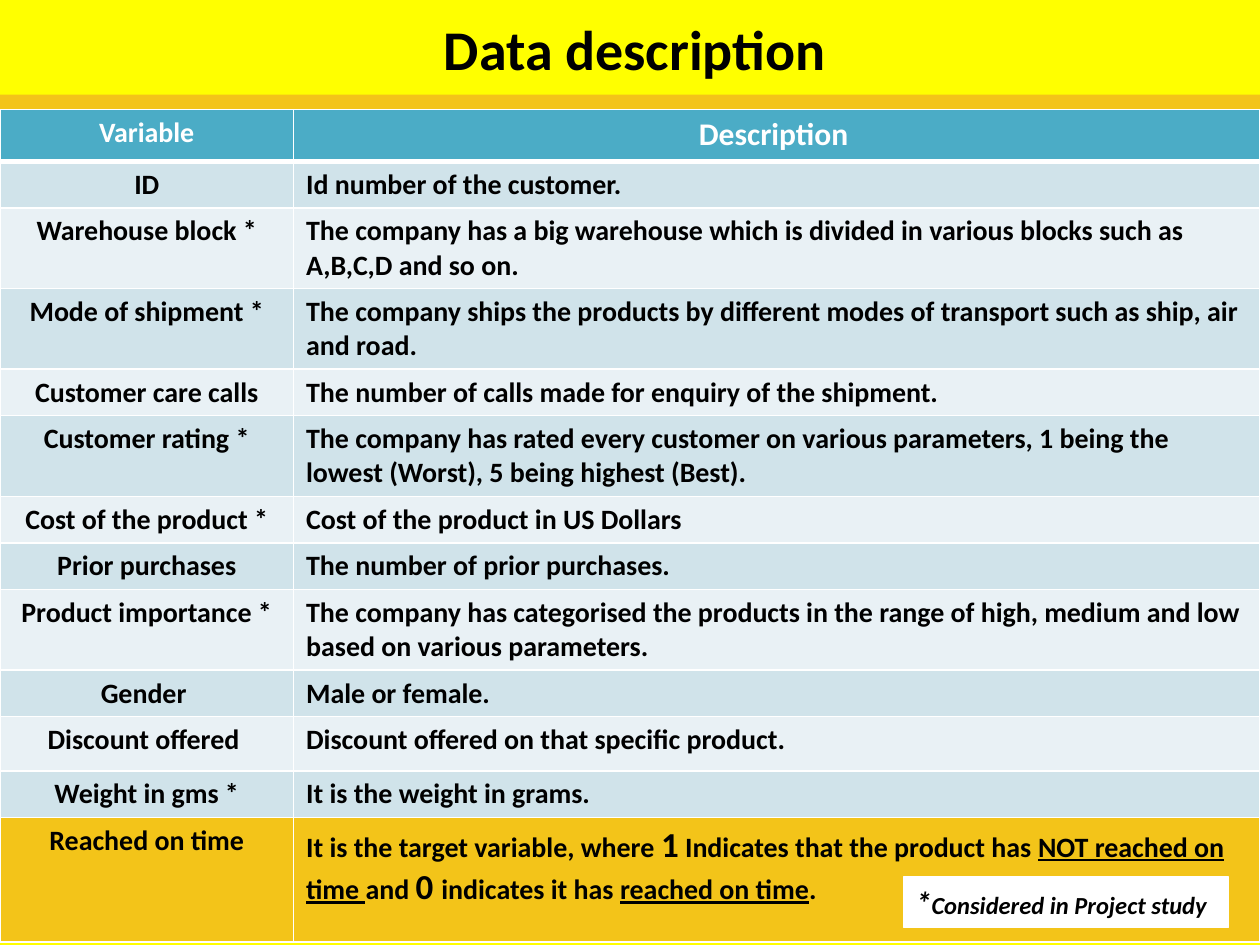
from dataclasses import dataclass

from lxml.etree import SubElement
from pptx import Presentation
from pptx.dml.color import RGBColor
from pptx.enum.shapes import MSO_SHAPE
from pptx.enum.text import MSO_ANCHOR, PP_ALIGN
from pptx.oxml import parse_xml
from pptx.oxml.ns import nsdecls, qn
from pptx.util import Inches, Pt


@dataclass(frozen=True)
class Theme:
    font: str = "Calibri"
    black: str = "000000"
    white: str = "FFFFFF"
    page: str = "FFFF00"
    gold: str = "F3C419"
    head: str = "4BACC6"
    dark: str = "D0E3EA"
    light: str = "E9F1F5"
    title: int = 32
    large: int = 20
    mid: int = 18
    body: int = 16
    note: int = 14


theme = Theme()


def write(para, parts, color=theme.black, align=PP_ALIGN.LEFT):
    para.alignment = align
    for text, size, line in parts:
        run = para.add_run()
        run.text = text
        font = run.font
        font.name, font.size, font.bold = theme.font, Pt(size), True
        font.underline = line
        font.color.rgb = RGBColor.from_string(color)


def border(cell, widths):
    props = cell._tc.get_or_add_tcPr()
    for i, (side, width) in enumerate(zip("LRTB", widths)):
        line = parse_xml(f'<a:ln{side} {nsdecls("a")} w="{Pt(width)}"/>')
        fill = SubElement(line, qn("a:solidFill"))
        SubElement(fill, qn("a:srgbClr")).set("val", theme.white)
        props.insert(i, line)


deck = Presentation()
deck.slide_width, deck.slide_height = Inches(10), Inches(7.5)
slide = deck.slides.add_slide(deck.slide_layouts[6])
back = slide.background.fill
back.solid()
back.fore_color.rgb = RGBColor.from_string(theme.page)

for top, height in [(0.75, 0.12), (7.17, 0.04)]:
    band = slide.shapes.add_shape(
        MSO_SHAPE.RECTANGLE, 0, Inches(top), Inches(10), Inches(height))
    band.shadow.inherit = False
    band.fill.solid()
    band.fill.fore_color.rgb = RGBColor.from_string(theme.gold)
    band.line.fill.background()

title = slide.shapes.add_textbox(
    Inches(-0.25), Inches(0.01), Inches(10.58), Inches(0.75)).text_frame
title.word_wrap = True
title.vertical_anchor = MSO_ANCHOR.MIDDLE
write(title.paragraphs[0], [("Data description", theme.title, False)],
      align=PP_ALIGN.CENTER)

target = [
    ("It is the target variable, where ", theme.body, False),
    ("1", theme.large, False),
    (" Indicates that the product has ", theme.body, False),
    ("NOT reached on time ", theme.body, True),
    ("and ", theme.body, False),
    ("0 ", theme.large, False),
    ("indicates it has ", theme.body, False),
    ("reached on time", theme.body, True),
    (".", theme.body, False),
]
rows = [
    (0.41, "Variable", [("Description", theme.mid, False), (" ", theme.body, False)]),
    (0.37, "ID", "Id number of the customer."),
    (0.64, "Warehouse block *",
     "The company has a big warehouse which is divided in various blocks such as A,B,C,D and so on."),
    (0.64, "Mode of shipment *",
     "The company ships the products by different modes of transport such as ship, air and road."),
    (0.37, "Customer care calls", "The number of calls made for enquiry of the shipment."),
    (0.64, "Customer rating *",
     "The company has rated every customer on various parameters, 1 being the lowest (Worst), 5 being highest (Best)."),
    (0.37, "Cost of the product *", "Cost of the product in US Dollars"),
    (0.37, "Prior purchases", "The number of prior purchases."),
    (0.64, "Product importance *",
     "The company has categorised the products in the range of high, medium and low based on various parameters."),
    (0.37, "Gender ", "Male or female."),
    (0.43, "Discount offered ", "Discount offered on that specific product."),
    (0.37, "Weight in gms *", "It is the weight in grams."),
    (0.99, "Reached on time", target),
]
last = len(rows) - 1
table = slide.shapes.add_table(
    len(rows), 2, 0, Inches(0.87), Inches(10), Inches(6.62)).table
for col, width in zip(table.columns, (2.33, 7.67)):
    col.width = Inches(width)

for r, (height, *texts) in enumerate(rows):
    table.rows[r].height = Inches(height)
    shade = {0: theme.head, last: theme.gold}.get(
        r, theme.dark if r % 2 else theme.light)
    for c, text in enumerate(texts):
        cell = table.cell(r, c)
        cell.fill.solid()
        cell.fill.fore_color.rgb = RGBColor.from_string(shade)
        border(cell, (1, 1, 3 if r == 1 else 1, 3 if r == 0 else 1))
        parts = [(text, theme.body, False)] if isinstance(text, str) else text
        write(cell.text_frame.paragraphs[0], parts,
              theme.black if r else theme.white,
              PP_ALIGN.LEFT if r and c else PP_ALIGN.CENTER)

note = slide.shapes.add_shape(
    MSO_SHAPE.RECTANGLE, Inches(7.17), Inches(6.96), Inches(2.58), Inches(0.4))
note.shadow.inherit = False
note.fill.solid()
note.fill.fore_color.rgb = RGBColor.from_string(theme.white)
note.line.color.rgb = RGBColor.from_string(theme.white)
note.line.width = Pt(0.75)
frame = note.text_frame
frame.word_wrap = True
frame.vertical_anchor = MSO_ANCHOR.TOP
para = frame.paragraphs[0]
write(para, [("*", theme.mid, False),
             ("Considered in Project study", theme.note, False)])
for run in para.runs:
    run.font.italic = True

deck.save("out.pptx")
